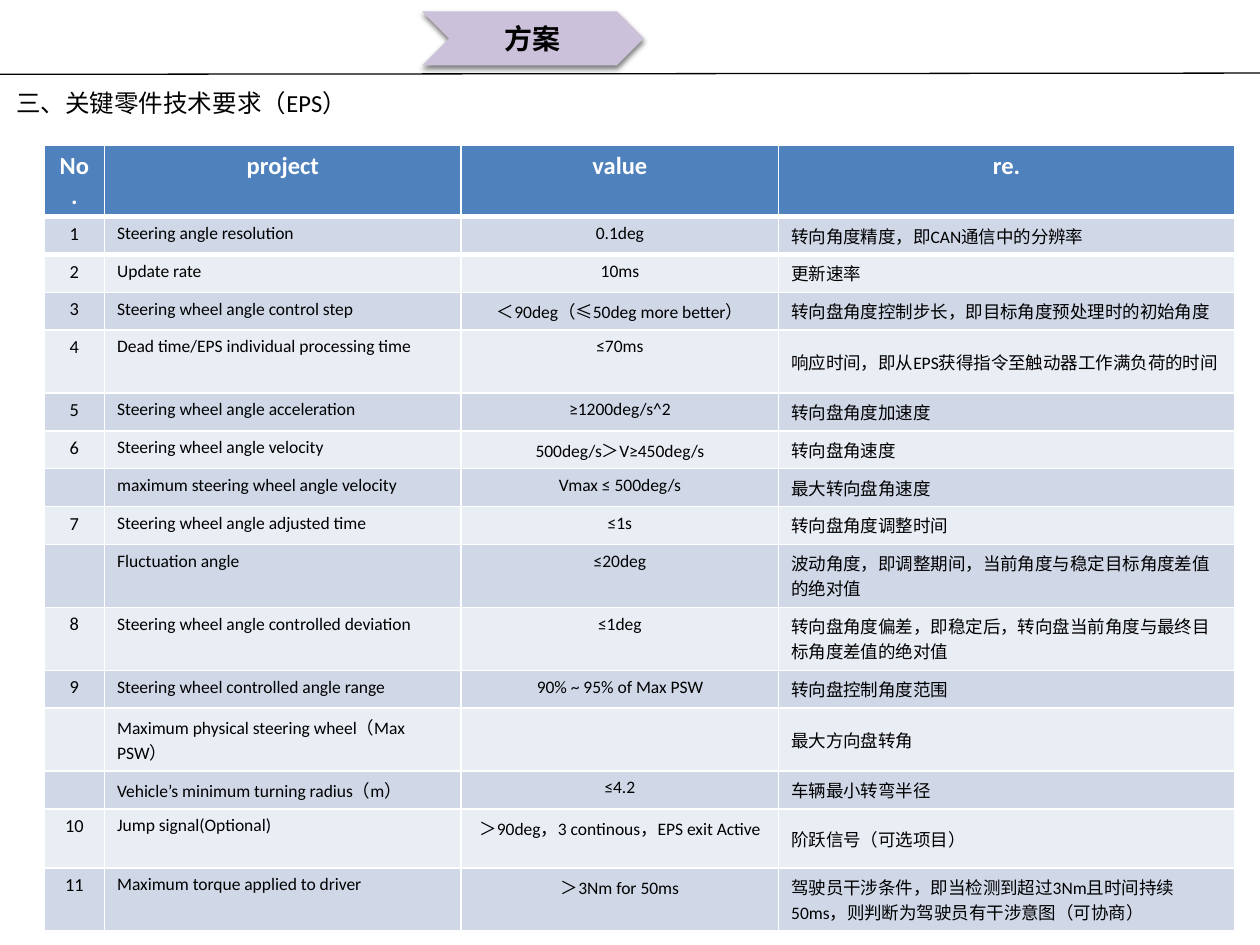
"""Build the slide of technical requirements for the EPS steering part."""
from lxml.etree import SubElement
from pptx import Presentation
from pptx.dml.color import RGBColor
from pptx.enum.shapes import MSO_CONNECTOR, MSO_SHAPE
from pptx.enum.text import MSO_ANCHOR, PP_ALIGN
from pptx.oxml.ns import qn
from pptx.util import Inches, Pt

SINGLE, DOUBLE, MIXED = 0.3, 0.5, 0.47
HEADING = "方案"
SUBTITLE = "三、关键零件技术要求（EPS）"
HEADERS = ("No.", "project", "value", "re.")
REQUIREMENTS = [
    (SINGLE, "1", "Steering angle resolution", "0.1deg", "转向角度精度，即CAN通信中的分辨率"),
    (SINGLE, "2", "Update rate", "10ms", "更新速率"),
    (SINGLE, "3", "Steering wheel angle control step", "＜90deg（≤50deg more better）",
     "转向盘角度控制步长，即目标角度预处理时的初始角度"),
    (DOUBLE, "4", "Dead time/EPS individual processing time", "≤70ms",
     "响应时间，即从EPS获得指令至触动器工作满负荷的时间"),
    (SINGLE, "5", "Steering wheel angle acceleration", "≥1200deg/s^2", "转向盘角度加速度"),
    (SINGLE, "6", "Steering wheel angle velocity", "500deg/s＞V≥450deg/s", "转向盘角速度"),
    (SINGLE, "", "maximum steering wheel angle velocity", "Vmax ≤ 500deg/s", "最大转向盘角速度"),
    (SINGLE, "7", "Steering wheel angle adjusted time", "≤1s", "转向盘角度调整时间"),
    (DOUBLE, "", "Fluctuation angle", "≤20deg",
     "波动角度，即调整期间，当前角度与稳定目标角度差值的绝对值"),
    (DOUBLE, "8", "Steering wheel angle controlled deviation", "≤1deg",
     "转向盘角度偏差，即稳定后，转向盘当前角度与最终目标角度差值的绝对值"),
    (SINGLE, "9", "Steering wheel controlled angle range", "90% ~ 95% of Max PSW",
     "转向盘控制角度范围"),
    (DOUBLE, "", "Maximum physical steering wheel（Max PSW）", "", "最大方向盘转角"),
    (SINGLE, "", "Vehicle’s minimum turning radius（m）", "≤4.2", "车辆最小转弯半径"),
    (MIXED, "10", "Jump signal(Optional)", "＞90deg，3 continous，EPS exit Active",
     "阶跃信号（可选项目）"),
    (DOUBLE, "11", "Maximum torque applied to driver", "＞3Nm for 50ms",
     "驾驶员干涉条件，即当检测到超过3Nm且时间持续50ms，则判断为驾驶员有干涉意图（可协商）"),
]
COLUMNS = [
    (0.48, 10.5, PP_ALIGN.CENTER, MSO_ANCHOR.TOP),
    (2.83, 10, PP_ALIGN.LEFT, MSO_ANCHOR.TOP),
    (2.52, 10, PP_ALIGN.CENTER, MSO_ANCHOR.TOP),
    (3.62, 10, PP_ALIGN.LEFT, MSO_ANCHOR.MIDDLE),
]
HEADER_HEIGHT = 0.57
HEADER_FILL, BAND_FILLS = "4F81BD", ("D0D8E8", "E9EDF4")


def color(value):
    return RGBColor.from_string(value)


def paint(target, value):
    target.fill.solid()
    target.fill.fore_color.rgb = color(value)


def write(frame, text, size, ink="000000", bold=False, align=PP_ALIGN.LEFT, font="Calibri"):
    para = frame.paragraphs[0]
    para.alignment = align
    para.font.name, para.font.size, para.font.bold = font, Pt(size), bold
    para.font.color.rgb = color(ink)
    if text:
        para.add_run().text = text
    return para


def add_border(cell, side, points):
    properties = cell._tc.get_or_add_tcPr()
    border = SubElement(properties, qn(f"a:{side}"), w=str(Pt(points)))
    SubElement(SubElement(border, qn("a:solidFill")), qn("a:srgbClr"), val="FFFFFF")
    properties.insert(0, border)


def add_heading(page):
    banner = page.shapes.add_shape(
        MSO_SHAPE.CHEVRON, Inches(3.35), Inches(0.09), Inches(1.76), Inches(0.43))
    paint(banner, "CCC1DA")
    banner.line.fill.background()
    banner.shadow.inherit = False
    effects = banner.element.spPr.find(qn("a:effectLst"))
    shadow = SubElement(effects, qn("a:outerShdw"), blurRad=str(Pt(3)), dist=str(Pt(2)),
                        dir="5400000", algn="t", rotWithShape="0")
    shade = SubElement(shadow, qn("a:srgbClr"), val="000000")
    SubElement(shade, qn("a:alpha"), val="50000")
    frame = banner.text_frame
    frame.margin_left = frame.margin_right = Inches(0.03)
    frame.margin_top = frame.margin_bottom = Inches(0.03)
    frame.vertical_anchor = MSO_ANCHOR.MIDDLE
    write(frame, HEADING, 16, bold=True, align=PP_ALIGN.CENTER, font="Noto Sans CJK SC")


def add_rule(page, width):
    rule = page.shapes.add_connector(
        MSO_CONNECTOR.STRAIGHT, 0, Inches(0.59), width, Inches(0.58))
    rule.line.color.rgb = color("000000")
    rule.line.width = Pt(0.75)
    SubElement(rule.element.spPr, qn("a:effectLst"))


def add_subtitle(page):
    box = page.shapes.add_textbox(Inches(0.03), Inches(0.65), Inches(2.85), Inches(0.35))
    box.text_frame.word_wrap = True
    write(box.text_frame, SUBTITLE, 14).space_before = Pt(2.8)


def add_requirements(page):
    heights = [HEADER_HEIGHT] + [requirement[0] for requirement in REQUIREMENTS]
    table = page.shapes.add_table(
        len(heights), len(COLUMNS), Inches(0.35), Inches(1.15),
        Inches(sum(column[0] for column in COLUMNS)), Inches(sum(heights))).table
    for row, height in zip(table.rows, heights):
        row.height = Inches(height)
    for index, (width, size, align, anchor) in enumerate(COLUMNS):
        table.columns[index].width = Inches(width)
        header = table.cell(0, index)
        paint(header, HEADER_FILL)
        add_border(header, "lnB", 3)
        add_border(table.cell(1, index), "lnT", 3)
        write(header.text_frame, HEADERS[index], 14, "FFFFFF", True, PP_ALIGN.CENTER)
        for number, (_, *texts) in enumerate(REQUIREMENTS):
            cell = table.cell(number + 1, index)
            paint(cell, BAND_FILLS[number % 2])
            cell.vertical_anchor = anchor
            write(cell.text_frame, texts[index], size, align=align)


deck = Presentation()
deck.slide_width, deck.slide_height = Inches(10), Inches(7.5)
page = deck.slides.add_slide(deck.slide_layouts[6])
add_heading(page)
add_rule(page, deck.slide_width)
add_subtitle(page)
add_requirements(page)
deck.save("out.pptx")
